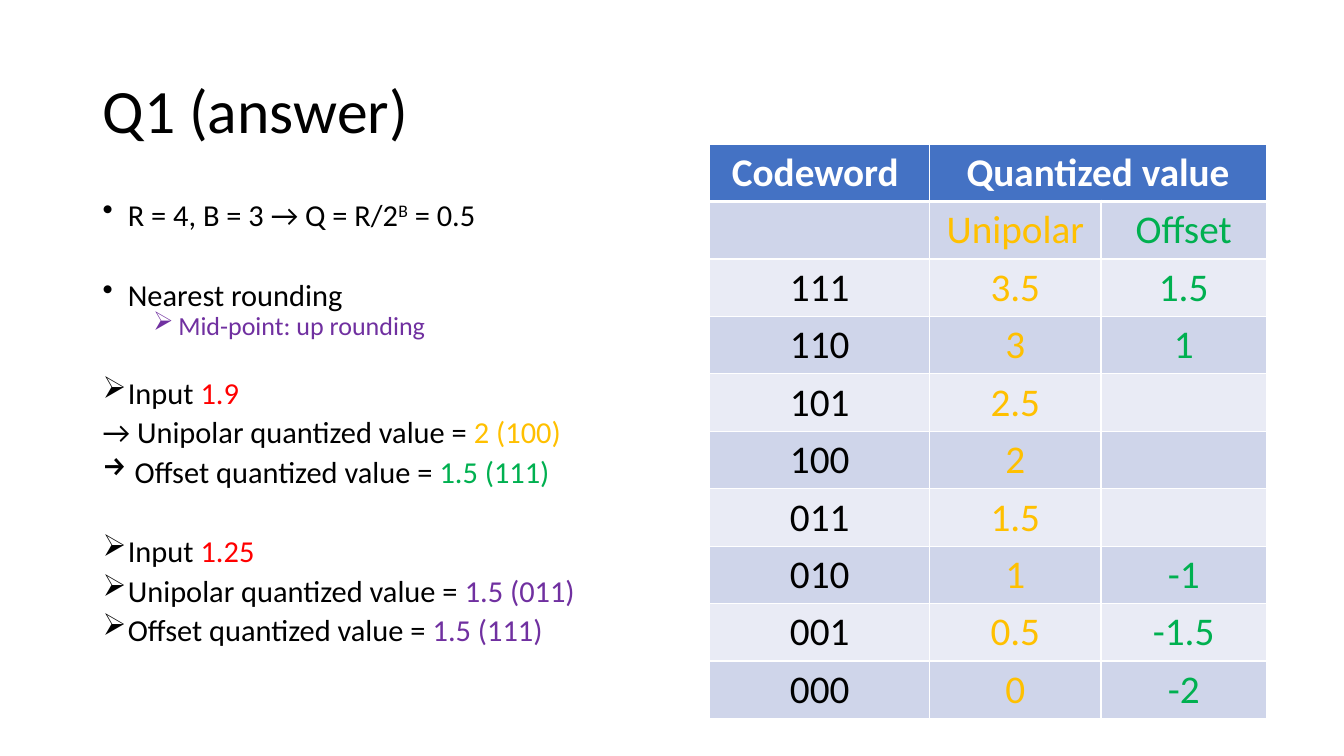
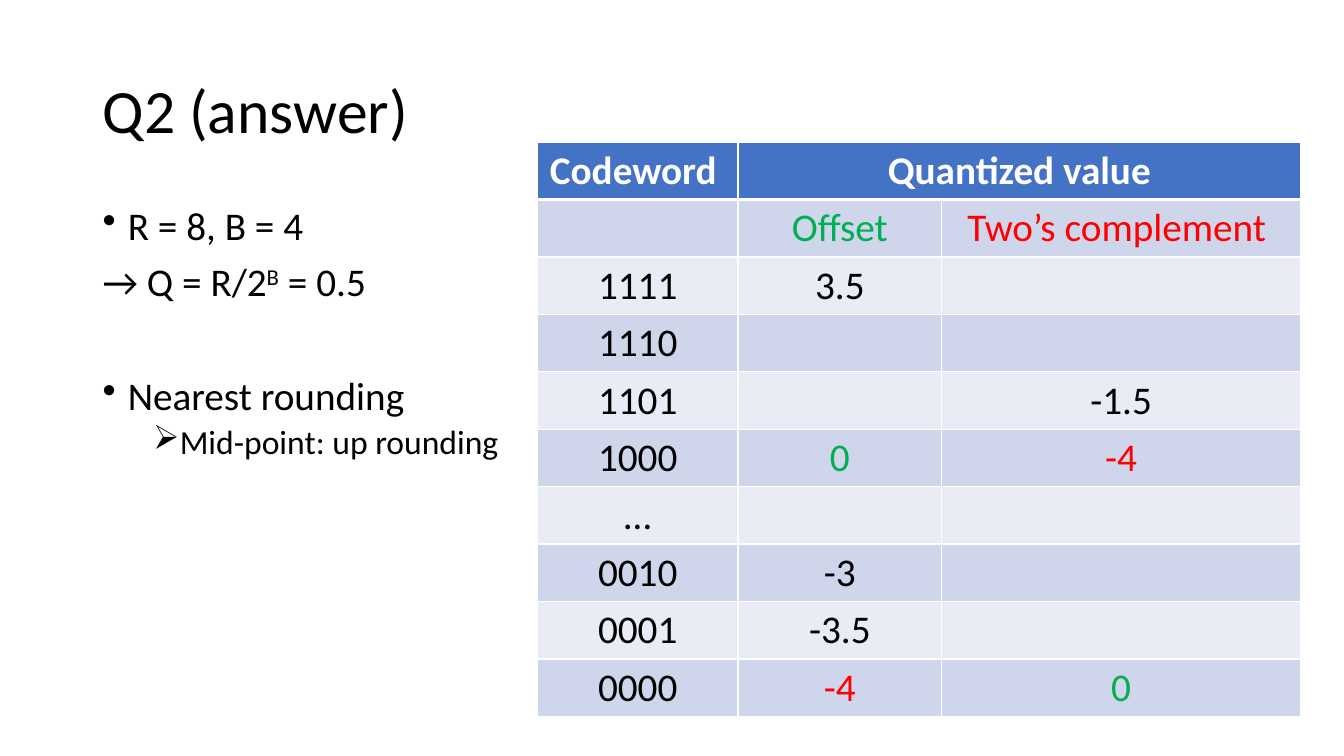
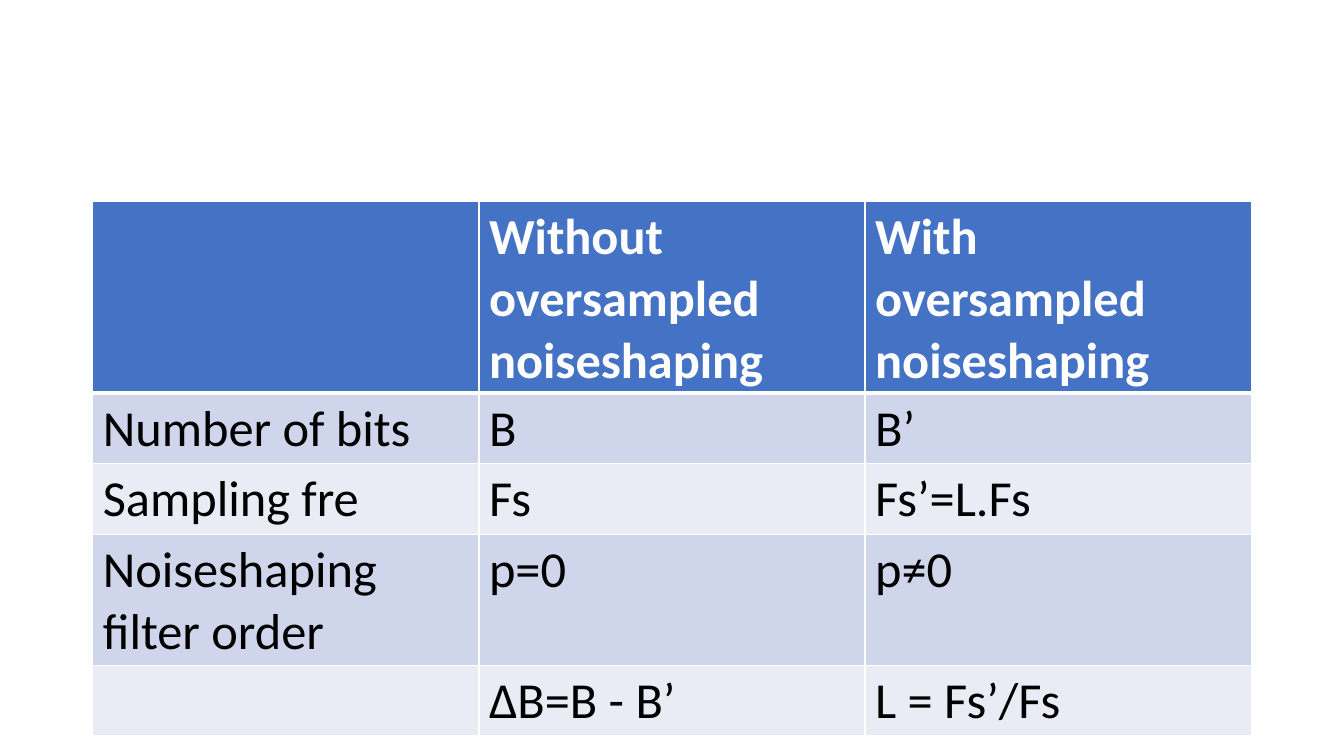
from pptx import Presentation
from pptx.dml.color import RGBColor
from pptx.enum.text import MSO_ANCHOR as Anchor, PP_ALIGN as Align
from pptx.oxml.ns import qn
from pptx.util import Emu, Pt
from lxml.etree import SubElement

PX = 9144  # 100 px to the inch
FONT = "Calibri"
COLORS = {
    "black": "000000", "white": "FFFFFF", "header": "4472C4",
    "band_dark": "CFD5EA", "band_light": "E9EBF5", "red": "FF0000",
    "amber": "FFC000", "green": "00B050", "purple": "7030A0",
}
TITLE_BOX = (92, 40, 1150, 145)
BODY_BOX = (92, 200, 1150, 476)

# Paragraphs: (level, bullet, space before in pt, runs); a run is (text, colour, raised)
Q1_NOTES = [
    (0, "•", 10, [("R = 4, B = 3 → Q = R/2",), ("B", "black", True), (" = 0.5",)]),
    (0, "•", 38.5, [("Nearest rounding",)]),
    (1, "➢", 5, [("Mid-point: up rounding", "purple")]),
    (0, "➢", 31, [("Input ",), ("1.9", "red")]),
    (0, None, 10, [("→ Unipolar quantized value = ",), ("2 (100)", "amber")]),
    (0, "→", 10, [(" Offset quantized value = ",), ("1.5 (111)", "green")]),
    (0, "➢", 38.5, [("Input ",), ("1.25", "red")]),
    (0, "➢", 10, [("Unipolar quantized value = ",), ("1.5 (011)", "purple")]),
    (0, "➢", 10, [("Offset quantized value = ",), ("1.5 (111)", "purple")]),
]
Q2_NOTES = [
    (0, "•", 10, [("R = 8, B = 4",)]),
    (0, None, 10, [("→ Q = R/2",), ("B", "black", True), (" = 0.5",)]),
    (0, "•", 50.7, [("Nearest rounding",)]),
    (1, "➢", 5, [("Mid-point: up rounding",)]),
]

# Table rows; a cell is a text or (text, colour)
HEADER = ["Codeword ", "Quantized value", ""]
Q1_ROWS = [
    HEADER,
    ["", "Unipolar", "Offset"],
    ["111", "3.5", "1.5"],
    ["110", "3", "1"],
    ["101", "2.5", ""],
    ["100", "2", ""],
    ["011", "1.5", ""],
    ["010", "1", "-1"],
    ["001", "0.5", "-1.5"],
    ["000", "0", "-2"],
]
Q2_ROWS = [
    HEADER,
    ["", ("Offset", "green"), ("Two’s complement ", "red")],
    ["1111", "3.5", ""],
    ["1110", "", ""],
    ["1101", "", "-1.5"],
    ["1000", ("0", "green"), ("-4", "red")],
    ["…", "", ""],
    ["0010", "-3", ""],
    ["0001", "-3.5", ""],
    ["0000", ("-4", "red"), ("0", "green")],
]
NOISE_ROWS = [
    ["", "Without oversampled noiseshaping", "With oversampled noiseshaping"],
    ["Number of bits", "B", "B’"],
    ["Sampling fre", "Fs", "Fs’=L.Fs"],
    ["Noiseshaping filter order", "p=0", "p≠0"],
    ["", "ΔB=B - B’", "L = Fs’/Fs"],
]
PLAIN = ["black"] * 3

SLIDES = [
    {"title": "Q1 (answer)", "notes": Q1_NOTES, "sizes": (21.7, 18.6), "leading": 0.7,
     "table": {"rows": Q1_ROWS, "at": (704, 143), "widths": [218, 170, 164],
               "heights": [57] * 10, "inks": ["black", "amber", "green"],
               "size": 28, "align": Align.CENTER, "merged": True}},
    {"title": "Q2 (answer)", "notes": Q2_NOTES, "sizes": (28, 24), "leading": 0.9,
     "table": {"rows": Q2_ROWS, "at": (533, 141), "widths": [199, 202, 356],
               "heights": [57] * 10, "inks": PLAIN,
               "size": 28, "align": Align.CENTER, "merged": True}},
    {"table": {"rows": NOISE_ROWS, "at": (92, 200), "widths": [383] * 3,
               "heights": [179, 70, 70, 122, 70], "inks": PLAIN,
               "size": 36, "align": Align.LEFT, "merged": False}},
]


def px(length):
    return Emu(length * PX)


def rgb(name):
    return RGBColor.from_string(COLORS[name])


def add_run(para, size, text, color="black", raised=False, bold=False):
    run = para.add_run()
    run.text = text
    font = run.font
    font.name, font.size, font.bold = FONT, Pt(size), bold
    font.color.rgb = rgb(color)
    if raised:
        run._r.get_or_add_rPr().set("baseline", "30000")


def add_frame(slide, box, anchor):
    frame = slide.shapes.add_textbox(*map(px, box)).text_frame
    frame.word_wrap = True
    frame.vertical_anchor = anchor
    return frame


def add_title(slide, title):
    para = add_frame(slide, TITLE_BOX, Anchor.MIDDLE).paragraphs[0]
    para.line_spacing = 0.9
    add_run(para, 44, title)


def set_bullet(para, level, bullet):
    props = para._p.get_or_add_pPr()
    if bullet:
        props.set("marL", str(px(25 + 50 * level)))
        props.set("indent", str(px(-25)))
        SubElement(props, qn("a:buChar")).set("char", bullet)
    else:
        SubElement(props, qn("a:buNone"))


def add_notes(slide, notes, sizes, leading):
    frame = add_frame(slide, BODY_BOX, Anchor.TOP)
    for i, (level, bullet, before, runs) in enumerate(notes):
        para = frame.add_paragraph() if i else frame.paragraphs[0]
        para.level = level
        para.line_spacing = leading
        para.space_before = Pt(before)
        set_bullet(para, level, bullet)
        for run in runs:
            add_run(para, sizes[level], *run)


def set_borders(cell, row):
    # The rule under the header row is thicker
    weights = {"L": 1, "R": 1, "T": 3 if row == 1 else 1, "B": 3 if row == 0 else 1}
    props = cell._tc.get_or_add_tcPr()
    for side, weight in weights.items():
        line = SubElement(props, qn(f"a:ln{side}"))
        line.set("w", str(Pt(weight)))
        fill = SubElement(line, qn("a:solidFill"))
        SubElement(fill, qn("a:srgbClr")).set("val", COLORS["white"])


def add_grid(slide, rows, at, widths, heights, inks, size, align, merged):
    box = (*at, sum(widths), sum(heights))
    grid = slide.shapes.add_table(len(rows), len(widths), *map(px, box)).table
    for column, width in zip(grid.columns, widths):
        column.width = px(width)
    for grid_row, height in zip(grid.rows, heights):
        grid_row.height = px(height)
    for r, row in enumerate(rows):
        band = "header" if r == 0 else "band_dark" if r % 2 else "band_light"
        for c, entry in enumerate(row):
            cell = grid.cell(r, c)
            set_borders(cell, r)
            cell.fill.solid()
            cell.fill.fore_color.rgb = rgb(band)
            text, ink = (entry, inks[c]) if isinstance(entry, str) else entry
            if text:
                para = cell.text_frame.paragraphs[0]
                para.alignment = align
                add_run(para, size, text, ink if r else "white", bold=r == 0)
    if merged:
        grid.cell(0, 1).merge(grid.cell(0, 2))


def main():
    deck = Presentation()
    deck.slide_width, deck.slide_height = px(1333), px(750)
    for content in SLIDES:
        slide = deck.slides.add_slide(deck.slide_layouts[6])
        if "title" in content:
            add_title(slide, content["title"])
            add_notes(slide, content["notes"], content["sizes"], content["leading"])
        add_grid(slide, **content["table"])
    deck.save("out.pptx")


if __name__ == "__main__":
    main()
